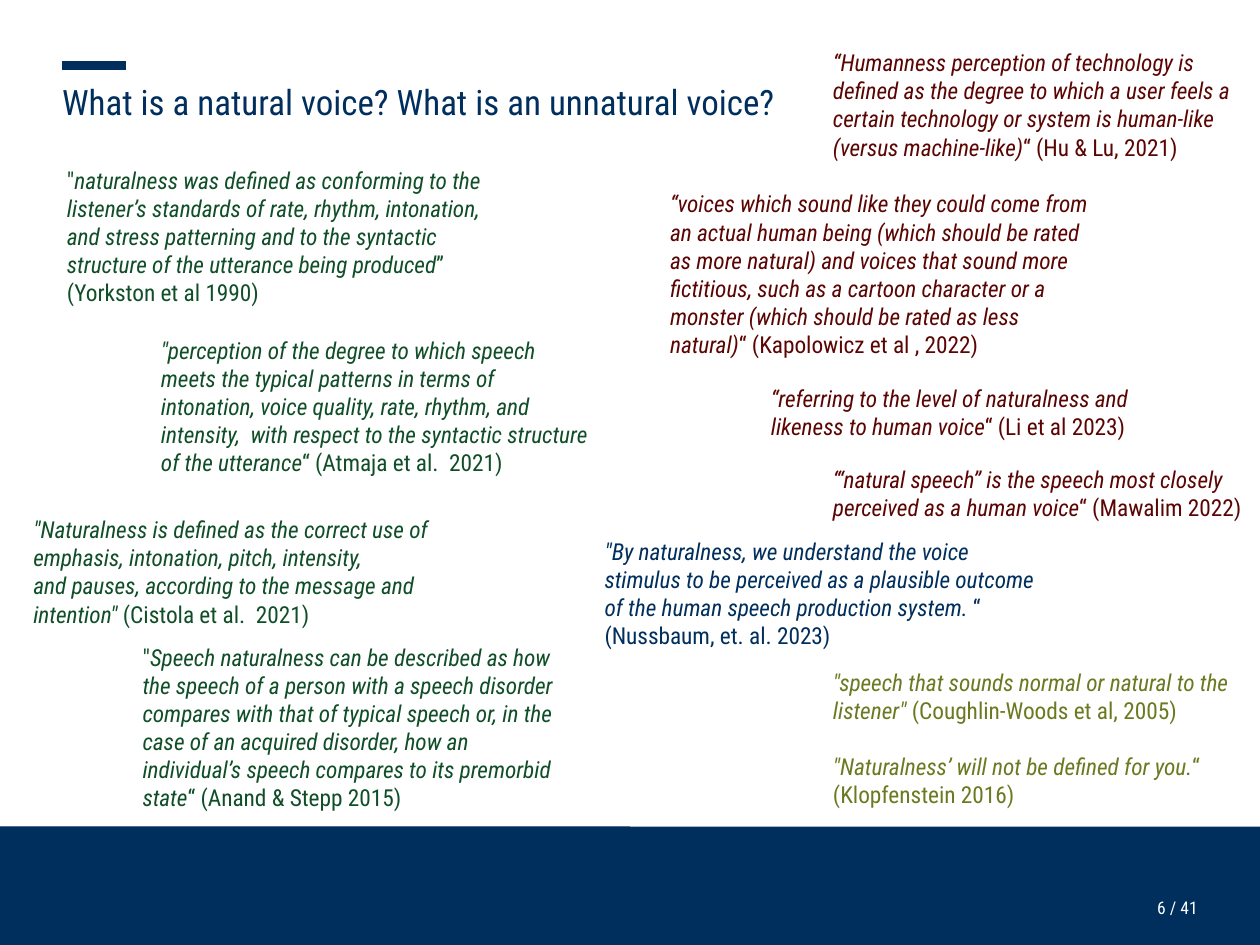
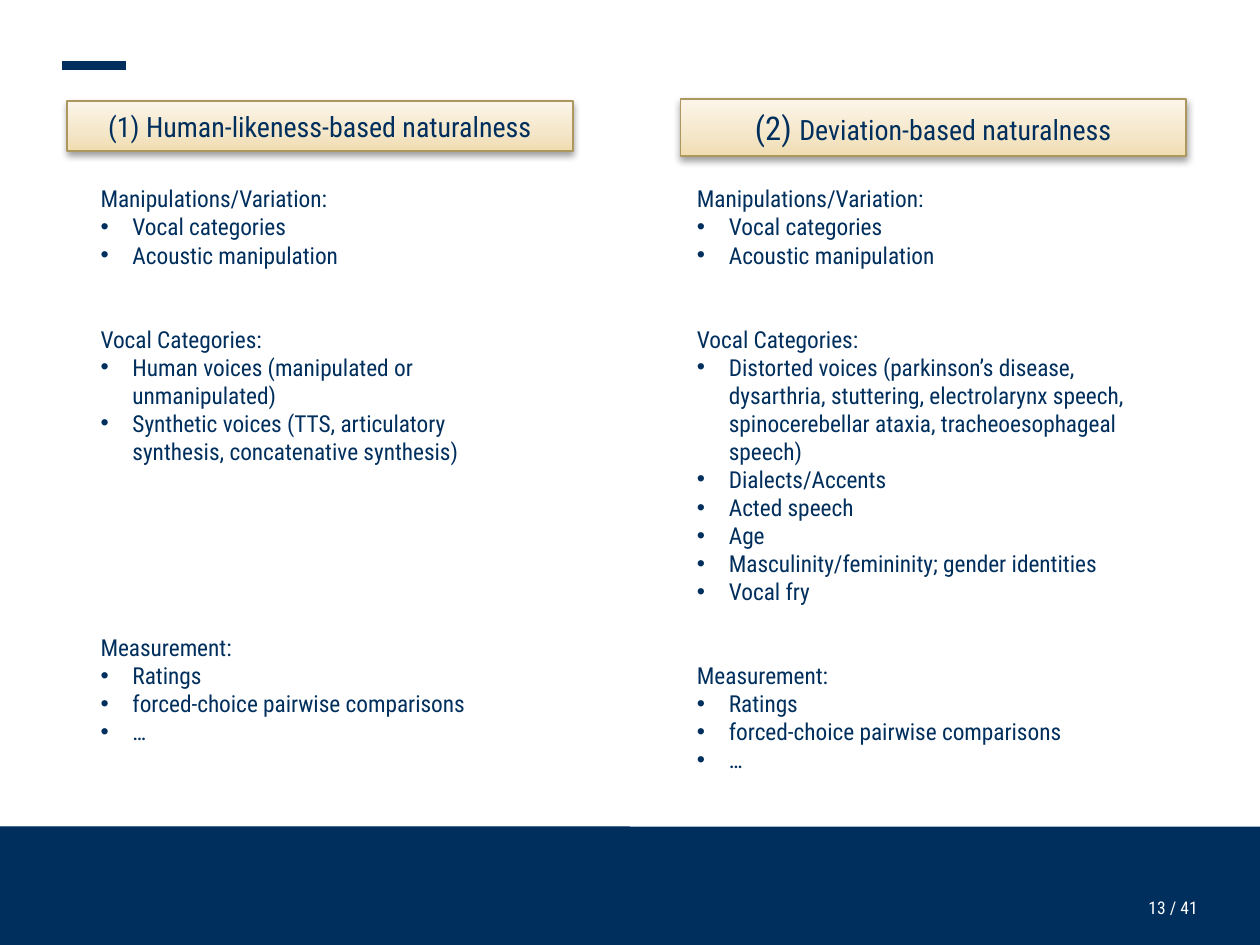
from dataclasses import dataclass

from lxml import etree
from pptx import Presentation, util as u
from pptx.dml.color import RGBColor
from pptx.enum import shapes, text
from pptx.oxml import parse_xml
from pptx.oxml.ns import nsdecls, qn


@dataclass(frozen=True)
class Theme:
    font: str = "Roboto Condensed"
    navy: str = "002F5D"
    white: str = "FFFFFF"
    green: str = "104E28"
    red: str = "5B0503"
    olive: str = "6C7921"
    gold_line: str = "AC975F"
    gold_stops: tuple = ((0, "F1DCB0"), (35, "F4E6C8"), (100, "FCF5E9"))
    title: float = 15
    banner: float = 12
    banner_large: float = 14
    body: float = 10
    footer: float = 7.5
    line_pitch: float = 12


THEME = Theme()
WIDTH = 7.5
HEIGHT = WIDTH * 3 / 4
TOTAL_PAGES = 41
QUOTE_WIDTH = 2.75
INSET = 0.05


@dataclass(frozen=True)
class Quote:
    left: float
    top: float
    lines: int
    color: str
    words: str
    source: str
    opening: str = ""


QUOTES = (
    Quote(0.3, 0.94, 5, THEME.green,
          "naturalness was defined as conforming to the listener’s standards of rate, rhythm, "
          "intonation, and stress patterning and to the syntactic structure of the utterance "
          "being produced", "” (Yorkston et al 1990)", '"'),
    Quote(0.75, 3.78, 6, THEME.green,
          "Speech naturalness can be described as how the speech of a person with a speech "
          "disorder compares with that of typical speech or, in the case of an acquired disorder, "
          "how an individual’s speech compares to its premorbid state",
          "“ (Anand & Stepp 2015)", '"'),
    Quote(0.86, 1.95, 5, THEME.green,
          '"perception of the degree to which speech meets the typical patterns in terms of '
          "intonation, voice quality, rate, rhythm, and intensity,  with respect to the syntactic "
          "structure of the utterance", "“ (Atmaja et al.  2021)"),
    Quote(0.1, 3.02, 4, THEME.green,
          '"Naturalness is defined as the correct use of emphasis, intonation, pitch, intensity,\n'
          'and pauses, according to the message and intention"', " (Cistola et al.  2021)"),
    Quote(4.86, 3.93, 2, THEME.olive,
          '"speech that sounds normal or natural to the listener"',
          " (Coughlin-Woods et al, 2005)"),
    Quote(4.86, 0.24, 4, THEME.red,
          "“Humanness perception of technology is defined as the degree to which a user feels a "
          "certain technology or system is human-like (versus machine-like)",
          "“ (Hu & Lu, 2021)"),
    Quote(3.89, 1.08, 6, THEME.red,
          "“voices which sound like they could come from an actual human being (which should be "
          "rated as more natural) and voices that sound more fictitious, such as a cartoon "
          "character or a monster (which should be rated as less natural)",
          "“ (Kapolowicz et al , 2022)"),
    Quote(4.86, 4.43, 2, THEME.olive,
          '"Naturalness’ will not be defined for you.', "“ (Klopfenstein 2016)"),
    Quote(4.49, 2.24, 2, THEME.red,
          "“referring to the level of naturalness and likeness to human voice",
          "“ (Li et al 2023)"),
    Quote(4.86, 2.72, 2, THEME.red,
          "“‘natural speech’’ is the speech most closely perceived as a human voice",
          "“ (Mawalim 2022)"),
    Quote(3.5, 3.15, 4, THEME.navy,
          '"By naturalness, we understand the voice stimulus to be perceived as a plausible '
          "outcome of the human speech production system. ", "“ (Nussbaum, et. al. 2023)"),
)

MANIPULATIONS = ("Manipulations/Variation:", ("Vocal categories", "Acoustic manipulation"))
MEASUREMENT = ("Measurement:", ("Ratings", "forced-choice pairwise comparisons", "…"))
HUMAN_VOICES = ("Vocal Categories:", (
    "Human voices (manipulated or unmanipulated)",
    "Synthetic voices (TTS, articulatory synthesis, concatenative synthesis)"))
DEVIATING_VOICES = ("Vocal Categories:", (
    "Distorted voices (parkinson’s disease, dysarthria, stuttering, electrolarynx speech, "
    "spinocerebellar ataxia, tracheoesophageal speech)",
    "Dialects/Accents", "Acted speech", "Age",
    "Masculinity/femininity; gender identities", "Vocal fry"))


def inches(box):
    return [u.Inches(length) for length in box]


def add_span(para, words, size, color=THEME.navy, italic=False):
    span = para.add_run()
    span.text = words
    values = {"name": THEME.font, "size": u.Pt(size), "italic": italic}
    for name, value in values.items():
        setattr(span.font, name, value)
    span.font.color.rgb = RGBColor.from_string(color)


def format_frame(frame, inset=True, **values):
    """Set wrapping and further frame values; without inset, clear the margins."""
    frame.word_wrap = True
    if not inset:
        values.update({f"margin_{side}": 0 for side in ("left", "top", "right", "bottom")})
    for name, value in values.items():
        setattr(frame, name, value)
    return frame


def add_text(page, box, inset=True, **values):
    return format_frame(page.shapes.add_textbox(*inches(box)).text_frame, inset, **values)


def add_rectangle(page, box, fill=None, line=None, line_width=0.75):
    shape = page.shapes.add_shape(shapes.MSO_SHAPE.RECTANGLE, *inches(box))
    shape.shadow.inherit = False
    if fill:
        shape.fill.solid()
        shape.fill.fore_color.rgb = RGBColor.from_string(fill)
    if line:
        shape.line.color.rgb = RGBColor.from_string(line)
        shape.line.width = u.Pt(line_width)
    else:
        shape.line.fill.background()
    return shape


def add_footer(page, number, box):
    left, top, width, height = box
    add_rectangle(page, box, THEME.navy)
    strip = add_rectangle(page, (left, top, width / 2, 0.04), THEME.navy)
    color = strip.fill._xPr.find(".//" + qn("a:srgbClr"))
    etree.SubElement(color, qn("a:alpha"), val="80000")
    frame = add_text(page, (left + 2.89, top + 0.42, 4.24, 0.17), inset=False)
    para = frame.paragraphs[0]
    para.alignment = text.PP_ALIGN.RIGHT
    add_span(para, f"{number} / {TOTAL_PAGES}", THEME.footer, THEME.white)


def add_accent(page, left, top, width):
    accent = page.shapes.add_connector(
        shapes.MSO_CONNECTOR.STRAIGHT, *inches((left, top, left + width, top)))
    accent.line.color.rgb = RGBColor.from_string(THEME.navy)
    accent.line.width = u.Pt(3.5)
    etree.SubElement(accent._element.spPr, qn("a:effectLst"))


def add_page(deck, number):
    page = deck.slides.add_slide(deck.slide_layouts[6])
    add_footer(page, number, (0, 4.92, WIDTH, 0.71))
    add_accent(page, 0.37, 0.39, 0.38)
    return page


def add_title(page, words, box):
    title = add_rectangle(page, box, THEME.white, THEME.white, 2)
    frame = format_frame(title.text_frame, inset=False, vertical_anchor=text.MSO_ANCHOR.TOP)
    para = frame.paragraphs[0]
    para.alignment = text.PP_ALIGN.LEFT
    add_span(para, words, THEME.title)


def add_quote(page, quote):
    height = quote.lines * THEME.line_pitch / 72 + 2 * INSET
    frame = add_text(page, (quote.left, quote.top, QUOTE_WIDTH, height),
                     auto_size=text.MSO_AUTO_SIZE.SHAPE_TO_FIT_TEXT)
    para = frame.paragraphs[0]
    if quote.opening:
        add_span(para, quote.opening, THEME.body, quote.color)
    for index, words in enumerate(quote.words.split("\n")):
        para = frame.add_paragraph() if index else para
        add_span(para, words, THEME.body, quote.color, italic=True)
    add_span(para, quote.source, THEME.body, quote.color)


def add_banner(page, spans, box):
    """Draw a gold gradient heading with a soft shadow; spans are (words, size) pairs."""
    banner = add_rectangle(page, box, line=THEME.gold_line)
    stops = "".join(f'<a:gs pos="{place * 1000}"><a:srgbClr val="{color}"/></a:gs>'
                    for place, color in THEME.gold_stops)
    properties = banner._element.spPr
    properties.find(qn("a:prstGeom")).addnext(parse_xml(
        f'<a:gradFill {nsdecls("a")} rotWithShape="1"><a:gsLst>{stops}</a:gsLst>'
        '<a:lin ang="16200000" scaled="0"/></a:gradFill>'))
    properties.find(qn("a:effectLst")).append(parse_xml(
        f'<a:outerShdw {nsdecls("a")} blurRad="{u.Pt(3.1)}" dist="{u.Pt(1.6)}" dir="5400000" '
        'rotWithShape="0"><a:srgbClr val="000000"><a:alpha val="38000"/></a:srgbClr>'
        '</a:outerShdw>'))
    frame = format_frame(banner.text_frame, vertical_anchor=text.MSO_ANCHOR.MIDDLE,
                         auto_size=text.MSO_AUTO_SIZE.SHAPE_TO_FIT_TEXT)
    para = frame.paragraphs[0]
    para.alignment = text.PP_ALIGN.CENTER
    for words, size in spans:
        add_span(para, words, size)


def add_bullet(para):
    properties = para._p.get_or_add_pPr()
    indent = u.Inches(0.19)
    properties.set("marL", str(indent))
    properties.set("indent", str(-indent))
    etree.SubElement(properties, qn("a:buFont"), typeface="Arial")
    etree.SubElement(properties, qn("a:buChar"), char="•")


def add_sections(page, sections, gaps, box):
    """List headed bullets; gaps are the free text lines above each section."""
    frame = add_text(page, box, auto_size=text.MSO_AUTO_SIZE.SHAPE_TO_FIT_TEXT)
    for (heading, items), gap in zip(sections, gaps):
        para = frame.paragraphs[0]
        if gap:
            para = frame.add_paragraph()
            para.space_before = u.Pt(gap * THEME.line_pitch)
        add_span(para, heading, THEME.body)
        for item in items:
            para = frame.add_paragraph()
            add_bullet(para)
            add_span(para, item, THEME.body)


def build_quotes(deck):
    page = add_page(deck, 6)
    add_title(page, "What is a natural voice? What is an unnatural voice?",
              (0.37, 0.48, 6.64, 0.3))
    for quote in QUOTES:
        add_quote(page, quote)


def build_comparison(deck):
    page = add_page(deck, 13)
    add_banner(page, [("(1) Human-likeness-based naturalness", THEME.banner)],
               (0.4, 0.6, 3.01, 0.3))
    add_banner(page, [("(2) ", THEME.banner_large),
                      ("Deviation-based naturalness", THEME.banner)],
               (4.05, 0.59, 3.01, 0.34))
    add_sections(page, (MANIPULATIONS, HUMAN_VOICES, MEASUREMENT), (0, 2, 6),
                 (0.5, 1.05, 2.75, 3.64))
    add_sections(page, (MANIPULATIONS, DEVIATING_VOICES, MEASUREMENT), (0, 2, 2),
                 (4.05, 1.05, 2.75, 3.8))


def main():
    deck = Presentation()
    deck.slide_width, deck.slide_height = inches((WIDTH, HEIGHT))
    build_quotes(deck)
    build_comparison(deck)
    deck.save("out.pptx")


if __name__ == "__main__":
    main()
